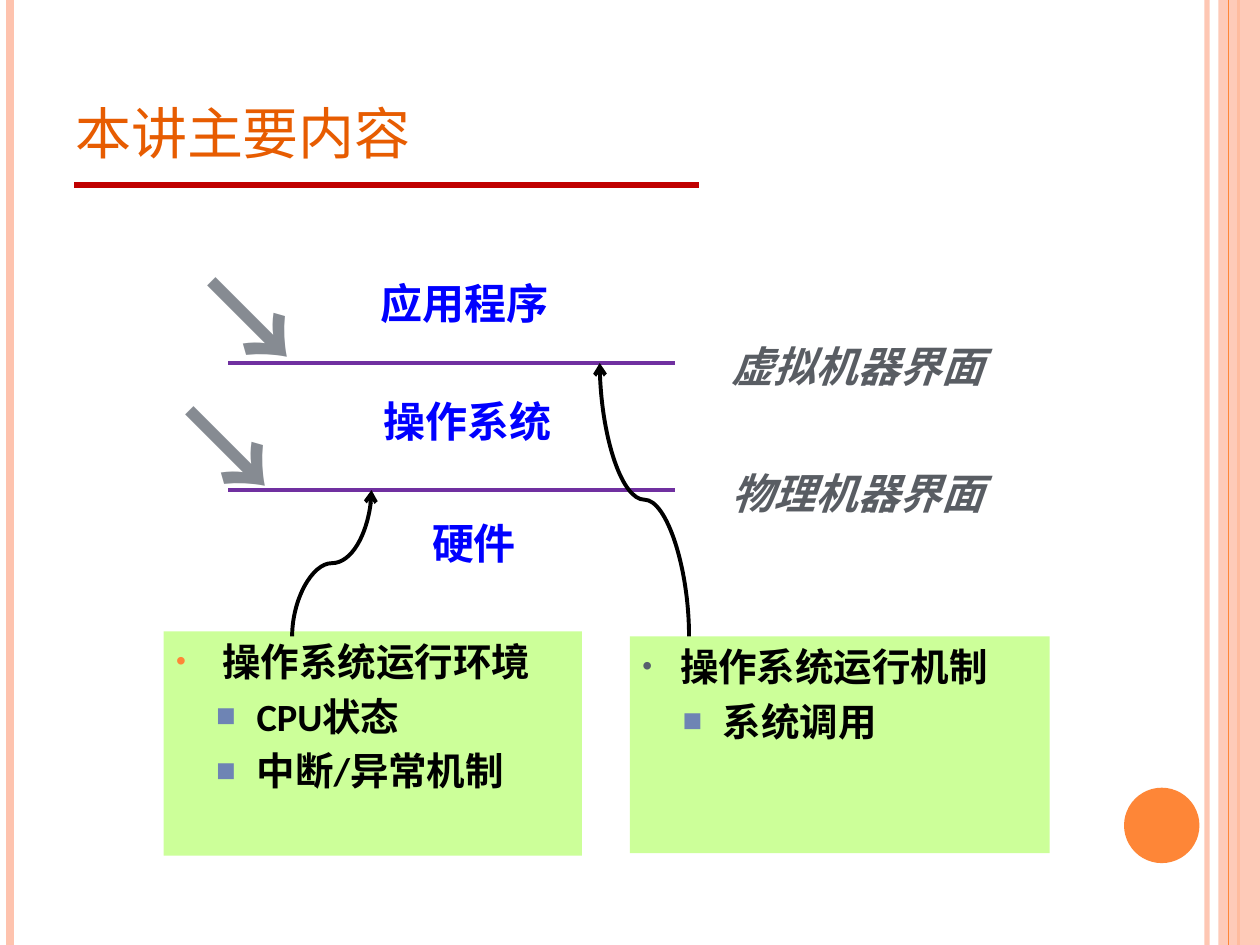
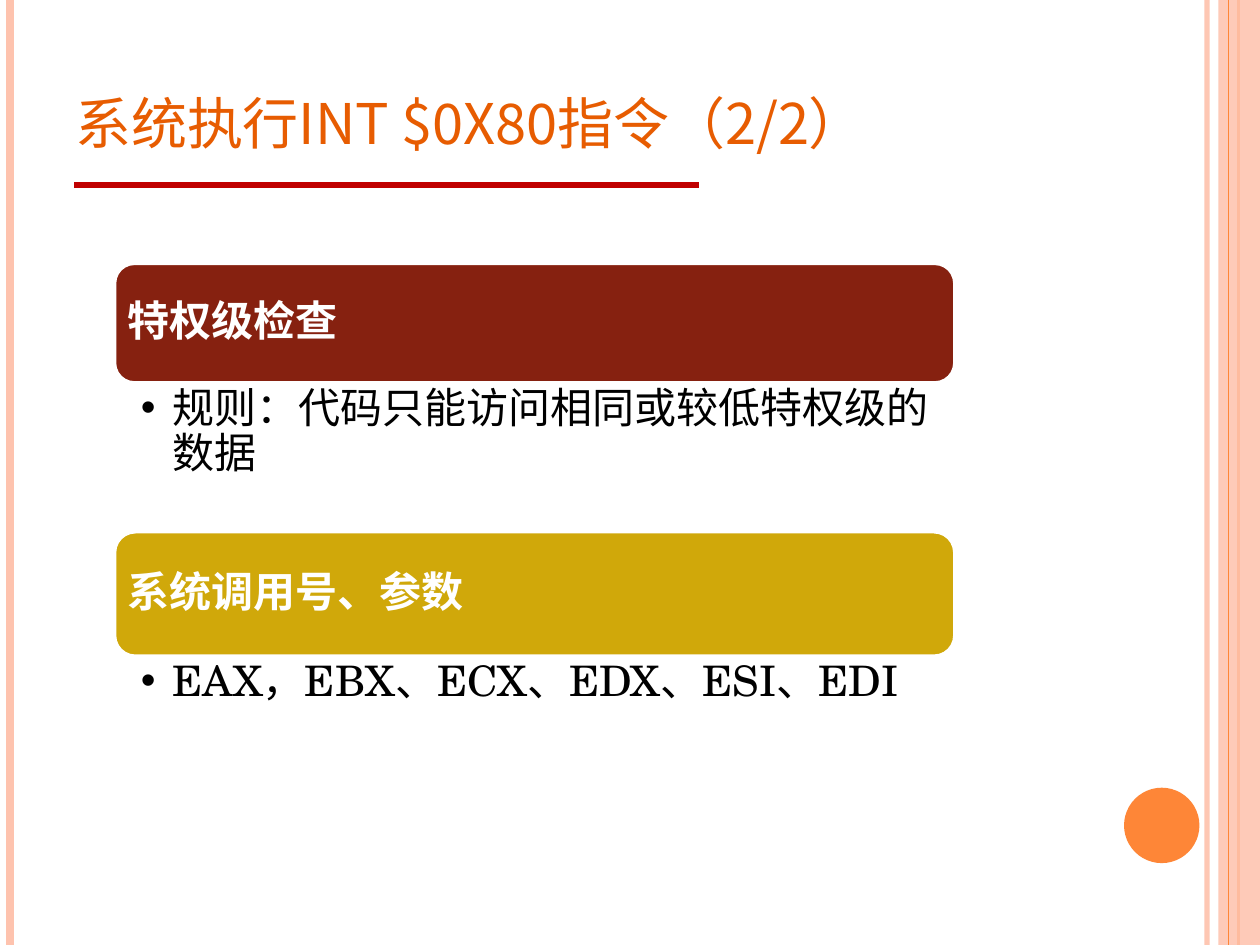
from lxml.etree import SubElement
from pptx import Presentation
from pptx.dml.color import RGBColor
from pptx.enum.shapes import MSO_CONNECTOR as Route, MSO_SHAPE as Preset
from pptx.enum.text import MSO_ANCHOR as Anchor, MSO_AUTO_SIZE as Fit, PP_ALIGN as Align
from pptx.oxml.ns import qn
from pptx.util import Cm, Pt

PEACH = RGBColor(0xFE, 0xC3, 0xAE)
ORANGE = RGBColor(0xFE, 0x86, 0x37)
TITLE_ORANGE = RGBColor(0xE7, 0x5C, 0x01)
RULE_RED = RGBColor(0xC0, 0x00, 0x00)
PURPLE = RGBColor(0x70, 0x30, 0xA0)
ARROW_GREY = RGBColor(0x86, 0x8B, 0x92)
LABEL_GREY = RGBColor(0x59, 0x5D, 0x63)
LABEL_BLUE = RGBColor(0x00, 0x00, 0xFF)
SLATE = RGBColor(0x57, 0x5F, 0x6D)
SQUARE_BLUE = RGBColor(0x6E, 0x84, 0xB4)
LIME = RGBColor(0xCC, 0xFF, 0x99)
MAROON = RGBColor(0x86, 0x21, 0x10)
MUSTARD = RGBColor(0xD0, 0xA8, 0x0A)
BLACK = RGBColor(0x00, 0x00, 0x00)
WHITE = RGBColor(0xFF, 0xFF, 0xFF)

CJK = "Noto Sans CJK SC"
SERIF = "TeX Gyre Schola"
WIDTH, HEIGHT = 25.4, 19.05

TITLE_TEXT = {"name": CJK, "size": Pt(40)}
ARROW_TEXT = {"name": CJK, "size": Pt(66), "bold": True}
LAYER_TEXT = {"name": CJK, "size": Pt(24), "bold": True}
INTERFACE_TEXT = {**LAYER_TEXT, "italic": True}
TOPIC_TEXT = {"name": "Calibri", "size": Pt(22), "bold": True}
CARD_TEXT = {"name": SERIF, "size": Pt(24), "bold": True}
DETAIL_TEXT = {"name": SERIF, "size": Pt(24)}


# Formatting helpers
def apply(target, formats):
    for attribute, value in formats.items():
        setattr(target, attribute, value)


def set_opacity(shape, percent):
    for colour in shape._element.spPr.iter(qn("a:srgbClr")):
        SubElement(colour, qn("a:alpha"), val=str(percent * 1000))


def write(paragraph, words, formats, colour, small_caps=False):
    run = paragraph.add_run()
    run.text = words
    apply(run.font, formats)
    run.font.color.rgb = colour
    properties = run._r.get_or_add_rPr()
    SubElement(properties, qn("a:ea"), typeface=CJK)
    if small_caps:
        properties.set("cap", "small")


def add_bullet(paragraph, symbol, colour, percent, margin, hanging):
    properties = paragraph._p.get_or_add_pPr()
    properties.set("marL", str(Cm(margin)))
    properties.set("indent", str(-Cm(hanging)))
    tint = SubElement(properties, qn("a:buClr"))
    SubElement(tint, qn("a:srgbClr"), val=str(colour))
    SubElement(properties, qn("a:buSzPct"), val=str(percent * 1000))
    SubElement(properties, qn("a:buFont"), typeface="Arial")
    SubElement(properties, qn("a:buChar"), char=symbol)


# Element builders
def add_panel(slide, preset, box, fill, outline=None):
    panel = slide.shapes.add_shape(preset, *map(Cm, box))
    panel.shadow.inherit = False
    panel.fill.solid()
    panel.fill.fore_color.rgb = fill
    if outline is None:
        panel.line.fill.background()
    else:
        panel.line.color.rgb = outline
        panel.line.width = Pt(2)
    return panel


def add_line(slide, start, end, colour, weight, route=Route.STRAIGHT):
    line = slide.shapes.add_connector(route, *map(Cm, (*start, *end)))
    line.line.color.rgb = colour
    line.line.width = Pt(weight)
    SubElement(line._element.spPr, qn("a:effectLst"))
    return line


def add_rising_curve(slide, start, end):
    """S-curve that leaves and arrives vertically: a sideways curve turned a quarter."""
    (x0, y0), (x1, y1) = start, end
    centre_x, centre_y = (x0 + x1) / 2, (y0 + y1) / 2
    turn = 1 if x1 > x0 else -1
    along, across = turn * (y0 - y1) / 2, turn * (x1 - x0) / 2
    curve = add_line(slide, (centre_x + along, centre_y + across),
                     (centre_x - along, centre_y - across), BLACK, 2.25, Route.CURVE)
    properties = curve._element.spPr
    properties.find(qn("a:xfrm")).set("rot", str(turn * 90 % 360 * 60000))
    SubElement(properties.find(qn("a:ln")), qn("a:tailEnd"), type="arrow")


def add_label(slide, box, words, formats, colour, align=Align.LEFT):
    label = slide.shapes.add_textbox(*map(Cm, box))
    apply(label.text_frame, {"word_wrap": False, "auto_size": Fit.SHAPE_TO_FIT_TEXT})
    paragraph = label.text_frame.paragraphs[0]
    paragraph.alignment = align
    write(paragraph, words, formats, colour)
    return label


def add_topic_box(slide, box, dot_colour, topic, details):
    frame = add_panel(slide, Preset.RECTANGLE, box, LIME).text_frame
    apply(frame, {"word_wrap": True, "vertical_anchor": Anchor.TOP})
    heading = frame.paragraphs[0]
    apply(heading, {"alignment": Align.LEFT, "space_before": Pt(6)})
    add_bullet(heading, "•", dot_colour, 73, 0.76, 0.76)
    write(heading, topic, TOPIC_TEXT, BLACK)
    for detail in details:
        item = frame.add_paragraph()
        apply(item, {"alignment": Align.LEFT, "space_before": Pt(5), "level": 1})
        add_bullet(item, "■", SQUARE_BLUE, 85, 1.45, 0.64)
        write(item, detail, TOPIC_TEXT, BLACK)


def add_card(slide, top, height, fill, heading, detail):
    left, width = 2.31, 16.94
    card = add_panel(slide, Preset.ROUNDED_RECTANGLE, (left, top, width, height), fill, WHITE)
    apply(card.text_frame, {"word_wrap": True, "vertical_anchor": Anchor.MIDDLE,
                            "margin_left": Cm(0.14), "margin_right": Cm(0.14)})
    title = card.text_frame.paragraphs[0]
    apply(title, {"alignment": Align.LEFT, "line_spacing": 0.9})
    write(title, heading, CARD_TEXT, WHITE)

    below = slide.shapes.add_textbox(*map(Cm, (left, top + height, width, 3)))
    apply(below.text_frame, {"word_wrap": True, "margin_left": Cm(0.53), "margin_right": Cm(0.48),
                             "margin_top": Cm(0.08), "margin_bottom": Cm(0.08)})
    item = below.text_frame.paragraphs[0]
    apply(item, {"level": 1, "line_spacing": 0.9})
    add_bullet(item, "•", BLACK, 100, 0.64, 0.64)
    write(item, detail, DETAIL_TEXT, BLACK)


# Shared frame: side bands, corner disc, title and its rule
def add_framed_slide(deck, title, title_height):
    slide = deck.slides.add_slide(deck.slide_layouts[6])

    def add_stripe(x, colour, weight):
        return add_line(slide, (x, 0), (x, HEIGHT), colour, weight)

    set_opacity(add_stripe(24.33, PEACH, 3), 93)
    add_stripe(0.2, PEACH, 4.5)
    add_stripe(24.97, ORANGE, 1.5)
    set_opacity(add_panel(slide, Preset.RECTANGLE, (24.56, 0, 0.84, HEIGHT), PEACH), 87)
    add_stripe(24.77, ORANGE, 0.75)
    add_panel(slide, Preset.OVAL, (22.66, 15.88, 1.52, 1.52), ORANGE)
    add_line(slide, (1.5, 3.73), (14.1, 3.73), RULE_RED, 3)

    heading = slide.shapes.add_textbox(*map(Cm, (1.27, 0.76, 20.75, title_height)))
    apply(heading.text_frame, {"word_wrap": True, "vertical_anchor": Anchor.BOTTOM})
    write(heading.text_frame.paragraphs[0], title, TITLE_TEXT, TITLE_ORANGE, small_caps=True)
    return slide


def build_outline(deck):
    slide = add_framed_slide(deck, "本讲主要内容", 2.77)

    # Boundaries between the layers
    for y in (9.88, 7.32):
        add_line(slide, (4.6, y), (13.61, y), PURPLE, 2.25)
    for left, top in ((3.61, 4.88), (3.18, 7.49)):
        pointer = add_label(slide, (left, top, 2.87, 3.07), "→", ARROW_TEXT, ARROW_GREY, Align.CENTER)
        pointer.rotation = 45.1

    # Topics and the boundaries they belong to
    add_topic_box(slide, (3.3, 12.73, 8.43, 4.52), ORANGE, " 操作系统运行环境",
                  (" CPU状态", " 中断/异常机制"))
    add_topic_box(slide, (12.7, 12.83, 8.46, 4.37), SLATE, "操作系统运行机制", (" 系统调用",))
    add_rising_curve(slide, (5.89, 12.83), (7.49, 9.88))
    add_rising_curve(slide, (13.89, 12.83), (12.09, 7.32))

    # Names of interfaces and layers
    for top, interface in ((6.73, "虚拟机器界面"), (9.3, "物理机器界面")):
        add_label(slide, (14.5, top, 5.66, 1.27), interface, INTERFACE_TEXT, LABEL_GREY)
    for left, top, width, layer in ((7.42, 5.46, 4.45, "应用程序"),
                                    (7.49, 7.85, 3.96, "操作系统"),
                                    (8.46, 10.31, 2.24, "硬件")):
        label = add_label(slide, (left, top, width, 1.27), layer, LAYER_TEXT, LABEL_BLUE)
        label.text_frame.word_wrap = layer == "应用程序"


def build_interrupt(deck):
    slide = add_framed_slide(deck, "系统执行int $0x80指令（2/2）", 2.57)
    add_card(slide, 5.31, 2.41, MAROON, "特权级检查", "规则：代码只能访问相同或较低特权级的数据")
    add_card(slide, 10.72, 2.51, MUSTARD, "系统调用号、参数", "EAX，EBX、ECX、EDX、ESI、EDI")


def main():
    deck = Presentation()
    apply(deck, {"slide_width": Cm(WIDTH), "slide_height": Cm(HEIGHT)})
    build_outline(deck)
    build_interrupt(deck)
    deck.save("out.pptx")


if __name__ == "__main__":
    main()
